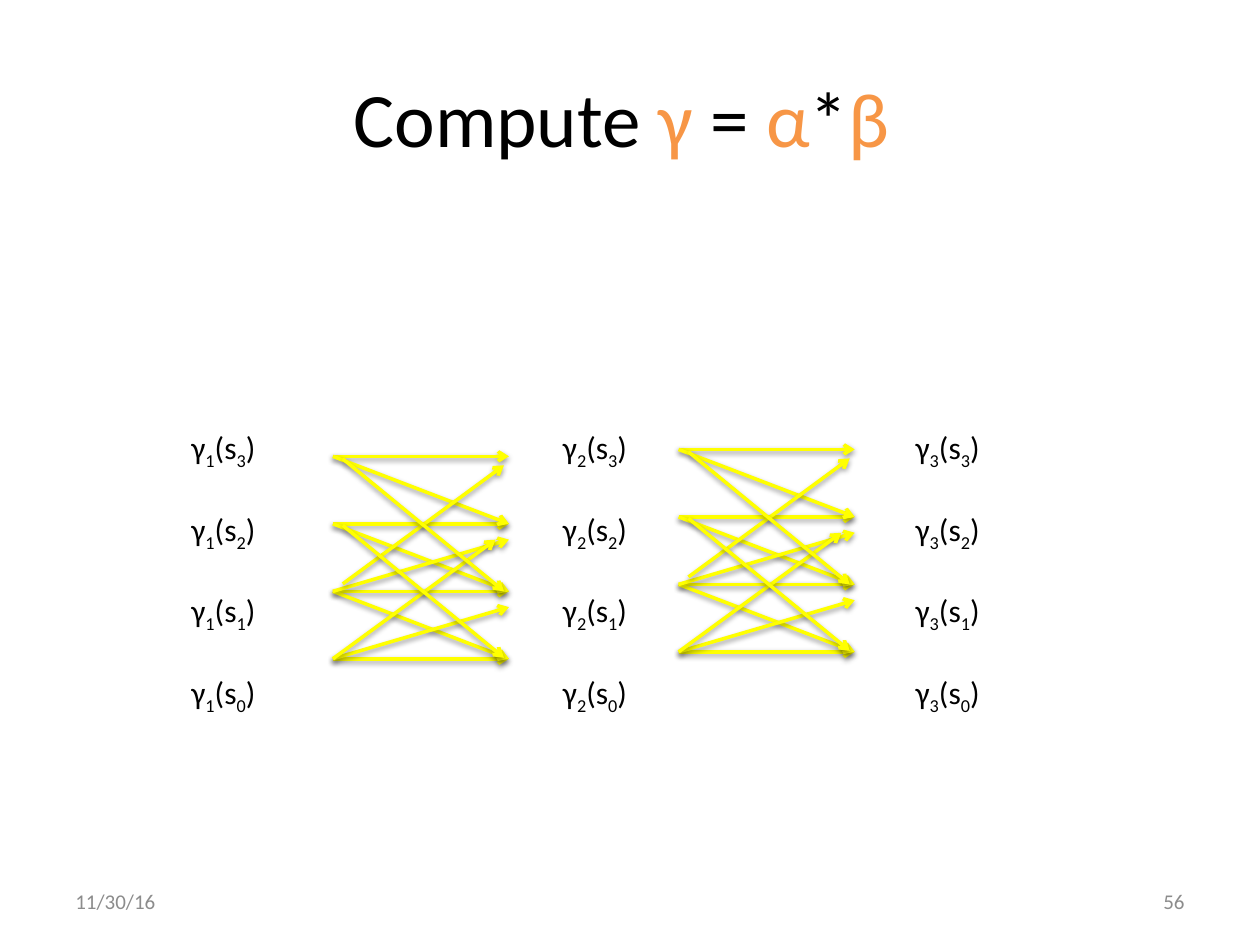
import pptx
import pptx.util
import pptx.dml.color
import pptx.enum.shapes
import pptx.enum.text
import pptx.oxml
import pptx.oxml.ns

Cm, Pt = pptx.util.Cm, pptx.util.Pt
ALIGN, ANCHOR = pptx.enum.text.PP_ALIGN, pptx.enum.text.MSO_ANCHOR


def rgb(value):
    return pptx.dml.color.RGBColor.from_string(value)


def add_text(s, box, paragraphs, size=18, align=ALIGN.LEFT, anchor=ANCHOR.TOP,
             wrap=True, gap=0):
    """Each paragraph is a list of (text, colour, is_subscript) runs."""
    tf = s.shapes.add_textbox(*[Cm(v) for v in box]).text_frame
    tf.word_wrap = wrap
    tf.vertical_anchor = anchor
    for i, runs in enumerate(paragraphs):
        p = tf.add_paragraph() if i else tf.paragraphs[0]
        p.alignment = align
        p.space_before = Pt(gap if i else 0)
        for words, color, subscript in runs:
            r = p.add_run()
            r.text = words
            r.font.name = "Calibri"
            r.font.size = Pt(size)
            r.font.color.rgb = rgb(color)
            if subscript:
                r._r.get_or_add_rPr().set("baseline", "-25000")


prs = pptx.Presentation()
prs.slide_width, prs.slide_height = Cm(25.4), Cm(19.05)
s = prs.slides.add_slide(prs.slide_layouts[6])

BLACK, ORANGE, GREY, YELLOW = "000000", "F79646", "8C8C8C", "FFFF00"

# Title
title = [("Compute ", BLACK, False), ("γ", ORANGE, False), (" = ", BLACK, False),
         ("α", ORANGE, False), ("*", BLACK, False), ("β ", ORANGE, False)]
add_text(s, (1.27, 0.76, 22.86, 3.18), [title], size=44, align=ALIGN.CENTER,
         anchor=ANCHOR.MIDDLE)

# Date and slide number
for x, words, align in ((1.27, "11/30/16", ALIGN.LEFT), (18.2, "56", ALIGN.RIGHT)):
    add_text(s, (x, 17.66, 5.93, 1.01), [[(words, GREY, False)]], size=12,
             align=align, anchor=ANCHOR.MIDDLE)

# Transitions between two time steps, relative to the top left state
STEP, WIDTH = 1.36, 3.55
level = [i * STEP for i in range(4)]
arrows = [(0, y, WIDTH, y) for y in level]
arrows += [(0, y, WIDTH, y + STEP) for y in level[:3]]
arrows += [(0, y, WIDTH, y - 1.04) for y in (level[3], level[2])]
arrows += [(0, level[3], 3.28, 1.68), (0.2, 2.57, 3.45, 0.18)]
arrows += [(0.2, y, 3.45, y + 2.67) for y in (level[1] + 0.03, 0.05)]

NS = pptx.oxml.ns.nsdecls("a")
SHADOW = (f'<a:effectLst {NS}><a:outerShdw blurRad="40000" dist="20000" '
          'dir="5400000" rotWithShape="0"><a:srgbClr val="000000">'
          '<a:alpha val="38000"/></a:srgbClr></a:outerShdw></a:effectLst>')

for left, top in ((6.71, 9.2), (13.68, 9.06)):
    group = s.shapes.add_group_shape()
    for x1, y1, x2, y2 in arrows:
        sp = group.shapes.add_connector(
            pptx.enum.shapes.MSO_CONNECTOR.STRAIGHT,
            Cm(left + x1), Cm(top + y1), Cm(left + x2), Cm(top + y2))
        sp.line.color.rgb = rgb(YELLOW)
        sp.line.width = Pt(2)
        sp.line._get_or_add_ln().append(
            pptx.oxml.parse_xml(f'<a:tailEnd {NS} type="arrow"/>'))
        sp._element.spPr.append(pptx.oxml.parse_xml(SHADOW))

# State labels, one column per time step
for time, x in ((1, 3.61), (2, 11.1), (3, 18.21)):
    labels = [[("γ", BLACK, False), (str(time), BLACK, True), ("(s", BLACK, False),
               (str(state), BLACK, True), (")", BLACK, False)]
              for state in (3, 2, 1, 0)]
    add_text(s, (x, 8.51, 1.88, 5.64), labels, wrap=False, gap=22)

prs.save("out.pptx")
